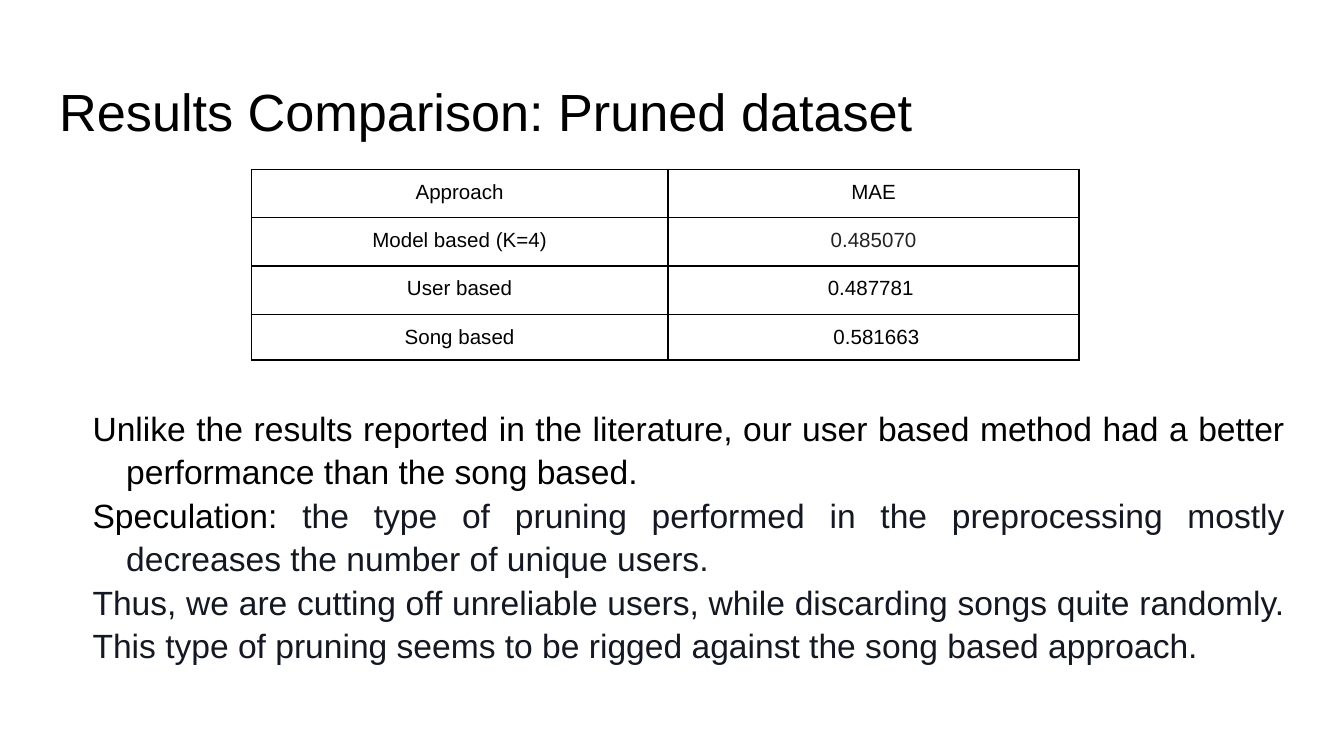
from lxml.etree import SubElement
from pptx import Presentation
from pptx.dml.color import RGBColor as Color
from pptx.enum.text import MSO_ANCHOR as Anchor, PP_ALIGN as Align
from pptx.oxml.ns import qn
from pptx.util import Inches, Pt

COLORS = {"text": "000000", "value": "222222", "body": "141823", "border": "000000"}
FONT = "Arial"

RESULTS = [
    ("Approach", "MAE"),
    ("Model based (K=4)", " 0.485070 "),
    ("User based", "0.487781 "),
    ("Song based", " 0.581663"),
]

DISCUSSION = [
    [("Unlike the results reported in the literature, our user based method "
      "had a better performance than the song based. ", "text")],
    [("Speculation: ", "text"),
     ("the type of pruning performed in the preprocessing mostly decreases "
      "the number of unique users. ", "body")],
    [("Thus, we are cutting off unreliable users, while discarding songs quite randomly. ", "body")],
    [("This type of pruning seems to be rigged against the song based approach. ", "body")],
]


def write(paragraph, text, size, color="text", align=Align.LEFT, spacing=1.0):
    paragraph.alignment = align
    paragraph.line_spacing = spacing
    run = paragraph.add_run()
    run.text = text
    run.font.name = FONT
    run.font.size = Pt(size)
    run.font.color.rgb = Color.from_string(COLORS[color])


class ResultsSlide:
    def __init__(self, presentation):
        self.slide = presentation.slides.add_slide(presentation.slide_layouts[5])
        self.spacing = 1.08

    def frame(self, shape):
        frame = shape.text_frame
        frame.word_wrap = True
        frame.vertical_anchor = Anchor.TOP
        frame.margin_left = frame.margin_right = Inches(0.1)
        frame.margin_top = frame.margin_bottom = Inches(0.1)
        return frame

    def title(self, text, left, top, width, height):
        shape = self.slide.shapes.title
        shape.left, shape.top = Inches(left), Inches(top)
        shape.width, shape.height = Inches(width), Inches(height)
        write(self.frame(shape).paragraphs[0], text, 28)

    def body(self, paragraphs, left, top, width, height):
        shape = self.slide.shapes.add_textbox(
            Inches(left), Inches(top), Inches(width), Inches(height))
        frame = self.frame(shape)
        for index, parts in enumerate(paragraphs):
            paragraph = frame.add_paragraph() if index else frame.paragraphs[0]
            for text, color in parts:
                write(paragraph, text, 18, color, Align.JUSTIFY, self.spacing)
            properties = paragraph._p.get_or_add_pPr()
            properties.set("marL", str(Inches(0.5)))
            properties.set("indent", str(Inches(-0.25)))

    def borders(self, cell, widths):
        properties = cell._tc.get_or_add_tcPr()
        for side, width in widths.items():
            line = SubElement(properties, qn(f"a:ln{side}"), w=str(Pt(width)))
            fill = SubElement(line, qn("a:solidFill"))
            SubElement(fill, qn("a:srgbClr"), val=COLORS["border"])

    def table(self, rows, left, top, widths, heights):
        table = self.slide.shapes.add_table(
            len(rows), len(widths), Inches(left), Inches(top),
            Inches(sum(widths)), Inches(sum(heights))).table
        table.first_row = table.horz_banding = False
        for column, width in zip(table.columns, widths):
            column.width = Inches(width)
        for row, height in zip(table.rows, heights):
            row.height = Inches(height)
        for row_index, values in enumerate(rows):
            for column_index, text in enumerate(values):
                cell = table.cell(row_index, column_index)
                cell.margin_left = cell.margin_right = Inches(0.07)
                cell.margin_top = cell.margin_bottom = Inches(0.07)
                color = "value" if (row_index, column_index) == (1, 1) else "text"
                write(cell.text_frame.paragraphs[0], text, 11, color,
                      Align.CENTER, self.spacing)
                first = column_index == 0
                self.borders(cell, {"L": 1 if first else 0.75,
                                    "R": 0.75 if first else 1, "T": 1, "B": 1})
                cell.fill.background()


def main():
    presentation = Presentation()
    presentation.slide_width = Inches(10)
    presentation.slide_height = Inches(10) * 9 // 16
    results = ResultsSlide(presentation)
    results.title("Results Comparison: Pruned dataset", 0.34, 0.49, 9.32, 0.63)
    results.body(DISCUSSION, 0.34, 2.91, 9.32, 2.09)
    results.table(RESULTS, 1.87, 1.26, [3.1, 3.06], [0.36, 0.36, 0.36, 0.3])
    presentation.save("out.pptx")


if __name__ == "__main__":
    main()
